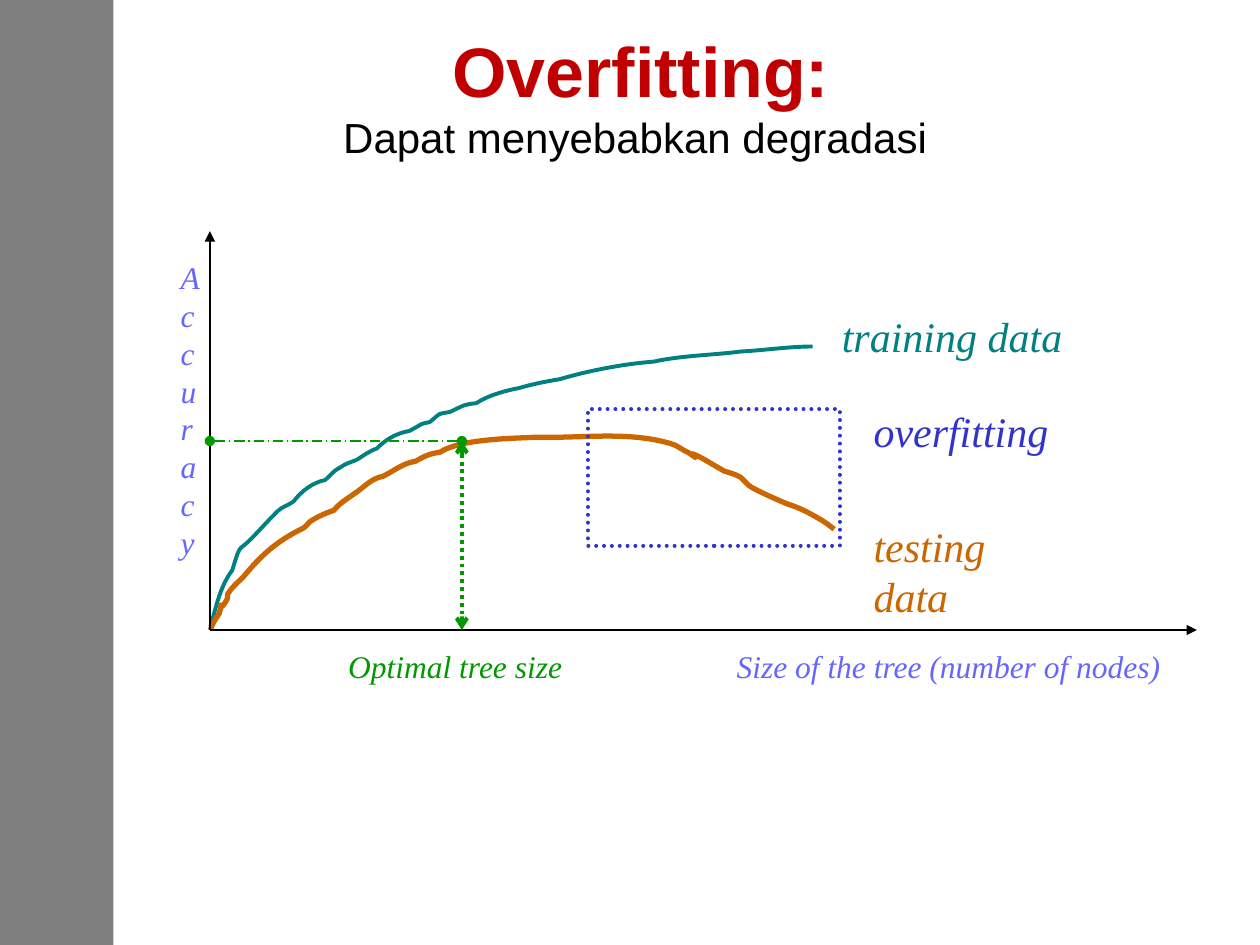
from dataclasses import dataclass
from typing import Optional

from lxml import etree
from pptx import Presentation
from pptx.dml.color import RGBColor
from pptx.enum.dml import MSO_LINE
from pptx.enum.shapes import MSO_CONNECTOR, MSO_SHAPE
from pptx.enum.text import MSO_ANCHOR, MSO_AUTO_SIZE, PP_ALIGN
from pptx.oxml.ns import qn
from pptx.util import Cm, Pt

STRAIGHT = MSO_CONNECTOR.STRAIGHT
RECTANGLE = MSO_SHAPE.RECTANGLE
DOTTED = MSO_LINE.ROUND_DOT
DASH_DOT = MSO_LINE.LONG_DASH_DOT
MIDDLE = MSO_ANCHOR.MIDDLE
CENTER = PP_ALIGN.CENTER
NO_FIT = MSO_AUTO_SIZE.NONE
GROW = MSO_AUTO_SIZE.SHAPE_TO_FIT_TEXT


@dataclass(frozen=True)
class Theme:
    black: str = "000000"
    title: str = "C00000"
    training: str = "008080"
    testing: str = "CC6600"
    overfitting: str = "3333CC"
    axis_text: str = "6666FF"
    optimum: str = "009900"
    title_font: str = "Arial"
    label_font: str = "Times New Roman"
    title_size: int = 40
    large: int = 24
    small: int = 18


THEME = Theme()


@dataclass(frozen=True)
class Label:
    text: str
    box: tuple[float, float, float, float]  # left, top, width, height in cm
    color: str
    size: int
    wrap: bool = False
    space_before: float = 0


@dataclass(frozen=True)
class Line:
    start: tuple[float, float]  # cm
    end: tuple[float, float]
    color: str
    width: float
    head: Optional[str] = None
    tail: Optional[str] = None
    dash: Optional[int] = None


@dataclass(frozen=True)
class Curve:
    color: str
    width: float
    start: tuple[int, int]
    # Each row is one cubic segment: two control points and the end point
    segments: list[tuple[int, int, int, int, int, int]]


CURVE_UNIT = Cm(0.0254)
ORIGIN = (4.23, 12.7)
OPTIMUM = (9.31, 8.89)

CURVES = [
    Curve(THEME.training, 2.25, (167, 497), [
        (172, 481, 174, 467, 184, 453), (185, 452, 188, 438, 191, 435),
        (193, 433, 195, 432, 197, 430), (205, 422, 212, 414, 220, 406),
        (224, 402, 229, 401, 233, 398), (239, 390, 248, 383, 258, 381),
        (262, 378, 265, 373, 270, 371), (274, 368, 278, 367, 283, 365),
        (288, 362, 293, 358, 299, 356), (306, 349, 314, 344, 325, 342),
        (338, 335, 332, 337, 341, 335), (351, 327, 346, 329, 357, 327),
        (366, 323, 367, 321, 378, 320), (387, 314, 401, 310, 412, 308),
        (422, 305, 432, 303, 444, 301), (468, 294, 494, 289, 519, 287),
        (542, 282, 565, 282, 588, 279), (607, 278, 626, 275, 645, 275),
    ]),
    Curve(THEME.testing, 3, (167, 500), [
        (168, 495, 174, 487, 174, 487), (178, 471, 172, 490, 180, 476),
        (181, 475, 180, 472, 181, 471), (184, 466, 189, 462, 193, 458),
        (207, 441, 219, 430, 239, 420), (242, 419, 244, 416, 246, 414),
        (252, 410, 259, 407, 265, 405), (270, 399, 274, 397, 281, 392),
        (290, 386, 294, 380, 304, 378), (314, 373, 319, 368, 330, 366),
        (337, 362, 341, 360, 349, 359), (366, 348, 408, 348, 426, 347),
        (461, 348, 498, 342, 532, 352), (537, 353, 541, 357, 546, 359),
        (562, 370, 538, 354, 556, 363), (563, 367, 568, 370, 575, 374),
        (579, 375, 585, 377, 588, 379), (590, 381, 592, 383, 594, 385),
        (597, 388, 620, 398, 625, 400), (635, 403, 644, 408, 654, 414),
        (657, 416, 662, 420, 662, 420),
    ]),
]

LABELS = [
    Label("training data", (16.72, 6.14, 4.95, 1.27), THEME.training, THEME.large),
    Label("overfitting", (17.36, 8.04, 4.04, 1.27), THEME.overfitting, THEME.large),
    Label("testing data", (17.36, 10.37, 4.47, 1.27), THEME.testing, THEME.large),
    Label("Size of the tree (number of nodes)", (14.6, 12.91, 9.07, 1.02),
          THEME.axis_text, THEME.small),
    Label("Accuracy", (3.39, 5.08, 0.85, 6.35), THEME.axis_text, THEME.small,
          wrap=True, space_before=11.2),
    Label("Optimal tree size", (6.77, 12.91, 5.28, 1.02), THEME.optimum,
          THEME.small, wrap=True, space_before=11.2),
]

LINES = [
    Line(ORIGIN, (24.13, ORIGIN[1]), THEME.black, 1.5, tail="triangle"),
    Line(ORIGIN, (ORIGIN[0], 4.66), THEME.black, 1.5, tail="triangle"),
    Line(OPTIMUM, (OPTIMUM[0], ORIGIN[1]), THEME.optimum, 2.25,
         "arrow", "arrow", DOTTED),
    Line(OPTIMUM, (ORIGIN[0], OPTIMUM[1]), THEME.optimum, 0.75,
         "oval", "oval", DASH_DOT),
]


def rgb(color: str) -> RGBColor:
    return RGBColor.from_string(color)


def style_line(line, color: str, width: float, dash: Optional[int] = None) -> None:
    line.color.rgb = rgb(color)
    line.width = Pt(width)
    if dash is not None:
        line.dash_style = dash


def style_span(span, font: str, size: int, color: str,
               bold: bool = False, italic: bool = False) -> None:
    span.font.name, span.font.size = font, Pt(size)
    span.font.color.rgb = rgb(color)
    span.font.bold, span.font.italic = bold, italic


def draw_sidebar(page) -> None:
    bar = page.shapes.add_shape(RECTANGLE, 0, 0, Cm(2.29), Cm(19.05))
    bar.shadow.inherit = False
    bar.fill.solid()
    bar.fill.fore_color.rgb = rgb(THEME.black)
    bar.line.fill.background()
    color = bar._element.spPr.find(".//" + qn("a:srgbClr"))
    etree.SubElement(color, qn("a:alpha"), val="50000")
    page.shapes._spTree.insert(2, bar._element)  # behind the title


def draw_title(page) -> None:
    title = page.shapes.title
    title.left, title.top, title.width, title.height = map(Cm, (1.07, 0.64, 23.7, 2.54))
    frame = title.text_frame
    frame.text = "Overfitting:\vDapat menyebabkan degradasi "
    frame.auto_size, frame.vertical_anchor = NO_FIT, MIDDLE
    para = frame.paragraphs[0]
    para.alignment = CENTER
    heading, subtitle = para.runs
    style_span(heading, THEME.title_font, THEME.title_size, THEME.title, bold=True)
    style_span(subtitle, THEME.title_font, THEME.large, THEME.black)
    line_break = para._p.find(qn("a:br"))
    etree.SubElement(line_break, qn("a:rPr"), sz=str(THEME.title_size * 100))


def draw_curve(page, curve: Curve) -> None:
    points = [row[i:i + 2] for row in curve.segments for i in (0, 2, 4)]
    builder = page.shapes.build_freeform(*curve.start, scale=CURVE_UNIT)
    builder.add_line_segments(points, close=False)
    shape = builder.convert_to_shape()
    shape.shadow.inherit = False
    shape.fill.background()
    style_line(shape.line, curve.color, curve.width)
    # Join every three straight steps into one cubic segment
    outline = shape._element.find(".//" + qn("a:path"))
    steps = outline.findall(qn("a:lnTo"))
    for first in range(0, len(steps), 3):
        cubic = etree.SubElement(outline, qn("a:cubicBezTo"))
        for step in steps[first:first + 3]:
            cubic.append(step[0])
            outline.remove(step)


def draw_overfitting_area(page) -> None:
    area = page.shapes.add_shape(RECTANGLE, *map(Cm, (11.85, 8.25, 5.08, 2.75)))
    area.shadow.inherit = False
    area.fill.background()
    style_line(area.line, THEME.overfitting, 2.25, DOTTED)
    area.line._ln.set("cap", "rnd")


def draw_label(page, label: Label) -> None:
    frame = page.shapes.add_textbox(*map(Cm, label.box)).text_frame
    frame.text = label.text
    frame.word_wrap, frame.auto_size = label.wrap, GROW
    para = frame.paragraphs[0]
    para.space_before = Pt(label.space_before)
    style_span(para.runs[0], THEME.label_font, label.size, label.color, italic=True)


def draw_line(page, line: Line) -> None:
    connector = page.shapes.add_connector(STRAIGHT, *map(Cm, line.start + line.end))
    style_line(connector.line, line.color, line.width, line.dash)
    for tag, kind in (("a:headEnd", line.head), ("a:tailEnd", line.tail)):
        if kind:
            etree.SubElement(connector.line._ln, qn(tag), type=kind)
    etree.SubElement(connector._element.spPr, qn("a:effectLst"))


def main() -> None:
    deck = Presentation()
    deck.slide_width, deck.slide_height = Cm(25.4), Cm(19.05)
    page = deck.slides.add_slide(deck.slide_layouts[5])
    draw_sidebar(page)
    draw_title(page)
    for curve in CURVES:
        draw_curve(page, curve)
    draw_overfitting_area(page)
    for label in LABELS:
        draw_label(page, label)
    for line in LINES:
        draw_line(page, line)
    deck.save("out.pptx")


if __name__ == "__main__":
    main()
